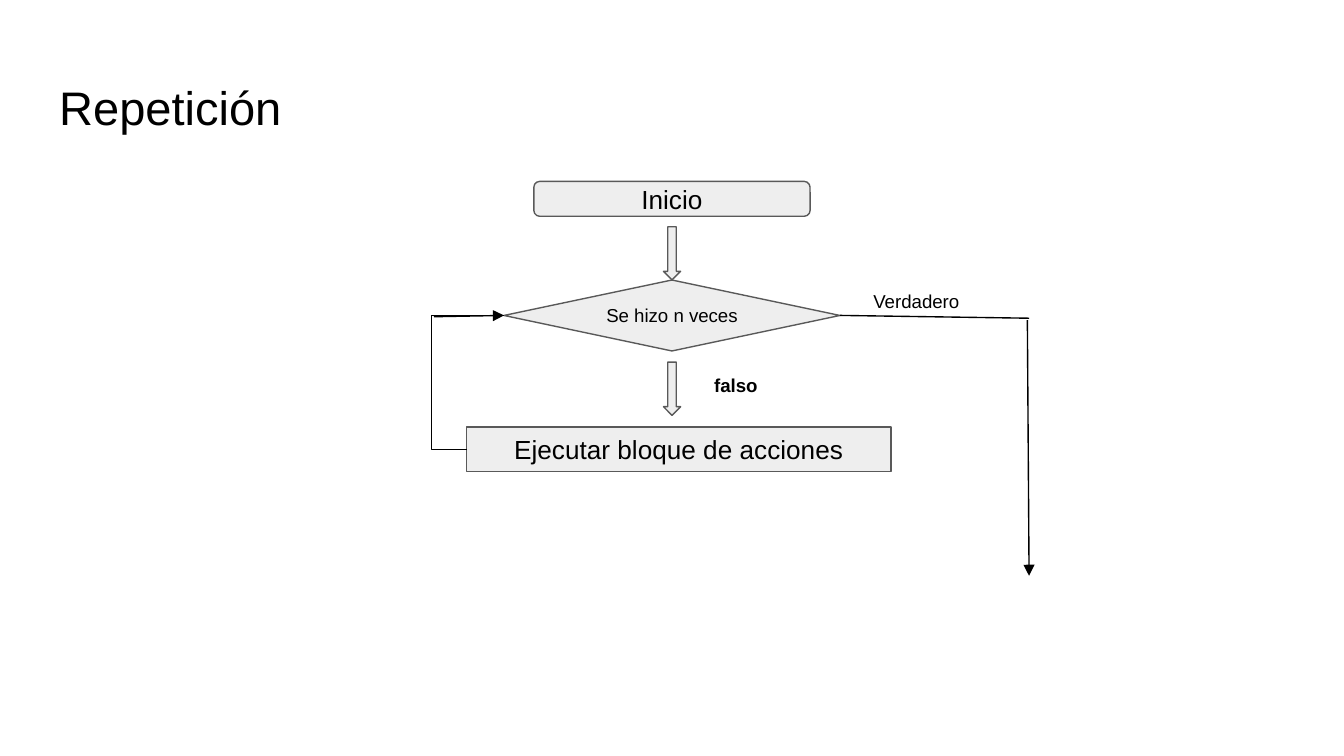
from lxml import etree
from pptx import Presentation
from pptx.dml.color import RGBColor
from pptx.enum.shapes import MSO_CONNECTOR, MSO_SHAPE
from pptx.enum.text import MSO_ANCHOR, MSO_AUTO_SIZE, PP_ALIGN
from pptx.oxml.ns import qn
from pptx.util import Pt

ROUND = MSO_SHAPE.ROUNDED_RECTANGLE
RECT = MSO_SHAPE.RECTANGLE
CHOICE = MSO_SHAPE.FLOWCHART_DECISION
DOWN = MSO_SHAPE.DOWN_ARROW
LINE = MSO_CONNECTOR.STRAIGHT
BENT = MSO_CONNECTOR.ELBOW
LEFT, CENTER = PP_ALIGN.LEFT, PP_ALIGN.CENTER
TOP, MIDDLE = MSO_ANCHOR.TOP, MSO_ANCHOR.MIDDLE
NO_FIT = MSO_AUTO_SIZE.NONE
BLACK = RGBColor(0x00, 0x00, 0x00)
GRAY = RGBColor(0x59, 0x59, 0x59)
PALE = RGBColor(0xEE, 0xEE, 0xEE)


def write(shape, text, size=10, bold=False, align=LEFT, anchor=TOP):
    frame = shape.text_frame
    frame.word_wrap = True
    frame.auto_size = NO_FIT
    frame.vertical_anchor = anchor
    frame.margin_left = frame.margin_right = Pt(7.2)
    frame.margin_top = frame.margin_bottom = Pt(7.2)
    para = frame.paragraphs[0]
    para.alignment = align
    run = para.add_run()
    run.text = text
    run.font.name = "Arial"
    run.font.size = Pt(size)
    run.font.bold = bold
    run.font.color.rgb = BLACK


def link(kind, x1, y1, x2, y2, arrow=False):
    line = slide.shapes.add_connector(kind, Pt(x1), Pt(y1), Pt(x2), Pt(y2))
    line.line.color.rgb = BLACK
    line.line.width = Pt(0.75)
    if arrow:
        pen = line.line._get_or_add_ln()
        etree.SubElement(pen, qn("a:tailEnd"), type="triangle")
    etree.SubElement(line._element.spPr, qn("a:effectLst"))
    return line


deck = Presentation()
deck.slide_width, deck.slide_height = Pt(720), Pt(405)
slide = deck.slides.add_slide(deck.slide_layouts[5])

title = slide.shapes.title
title.left, title.top, title.width, title.height = Pt(24.5), Pt(35), Pt(671), Pt(45)
write(title, "Repetición", size=25.2)

nodes = {}
for name, kind, x, y, w, h, text, size in [
    ("start", ROUND, 286, 97.2, 148, 18.7, "Inicio", 14),
    ("enter", DOWN, 355.4, 121.5, 9.2, 28.5, "", 0),
    ("leave", DOWN, 355.4, 194, 9.2, 28.5, "", 0),
    ("block", RECT, 250, 228.8, 227.4, 23.8, "Ejecutar bloque de acciones", 14),
    ("test", CHOICE, 270, 150, 180, 38, "Se hizo n veces", 10),
]:
    node = slide.shapes.add_shape(kind, Pt(x), Pt(y), Pt(w), Pt(h))
    node.shadow.inherit = False
    node.fill.solid()
    node.fill.fore_color.rgb = PALE
    node.line.color.rgb = GRAY
    node.line.width = Pt(0.75)
    if text:
        write(node, text, size=size, align=CENTER, anchor=MIDDLE)
    nodes[name] = node

block, test = nodes["block"], nodes["test"]
loop = link(BENT, 250, 240.7, 270, 169)
loop.begin_connect(block, 1)
loop.end_connect(test, 1)
bends = loop._element.spPr.find(qn("a:prstGeom")).get_or_add_avLst()
etree.SubElement(bends, qn("a:gd"), name="adj1", fmla="val -93700")

link(LINE, 232.5, 169.7, 270, 169, arrow=True).end_connect(test, 1)
link(LINE, 450, 169, 551.3, 170.5).begin_connect(test, 3)
link(LINE, 550.4, 171.5, 551.3, 308.5, arrow=True)

for text, x, y, w, h, bold in [
    ("falso", 375.5, 193, 63, 19, True),
    ("Verdadero", 460.8, 148.8, 129, 13, False),
]:
    label = slide.shapes.add_textbox(Pt(x), Pt(y), Pt(w), Pt(h))
    write(label, text, bold=bold)

deck.save("out.pptx")
